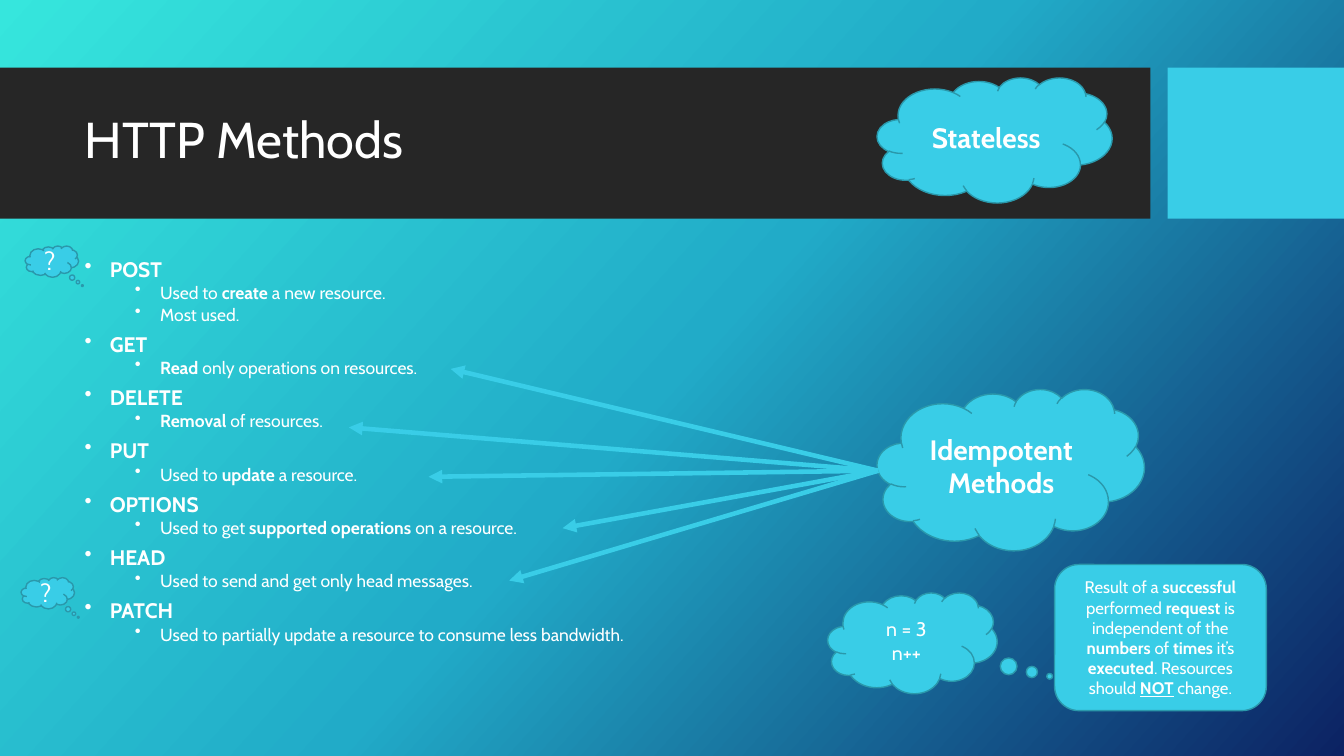
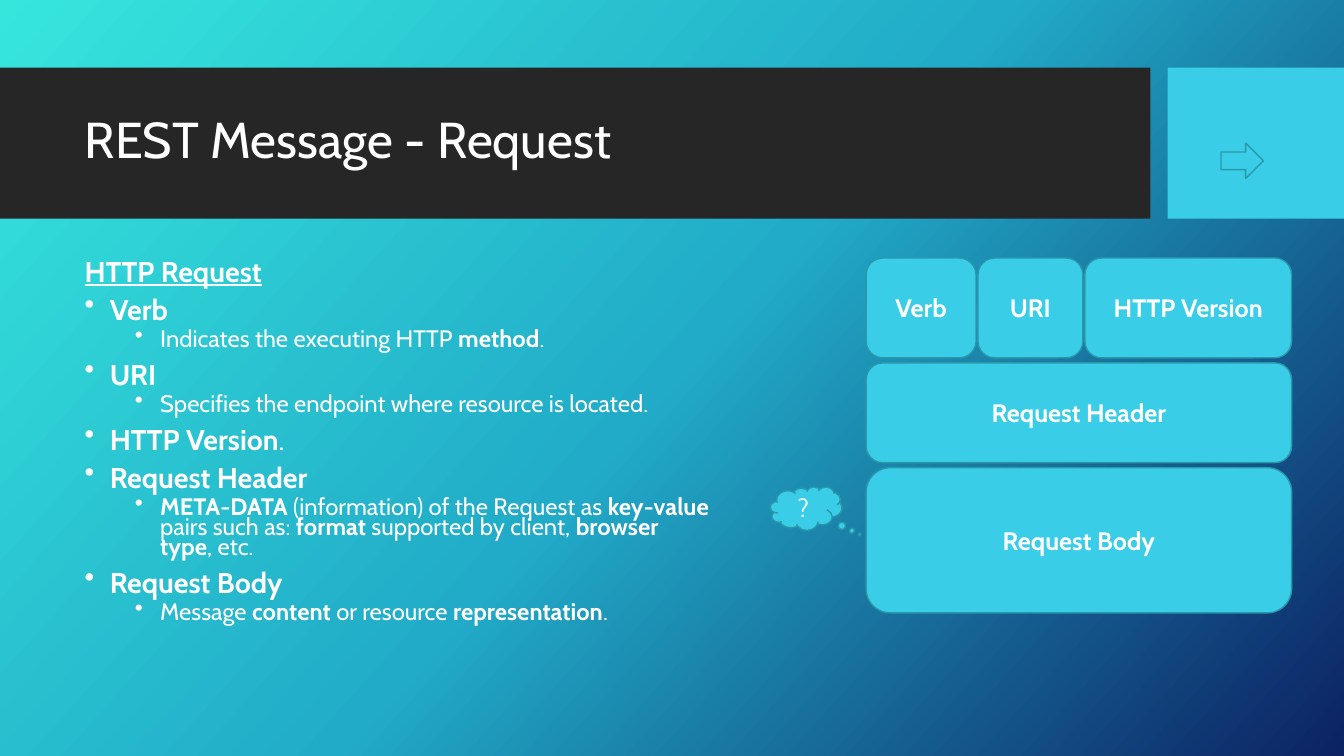
import copy

import lxml.etree
import pptx
import pptx.dml.color
import pptx.enum.shapes
import pptx.enum.text
import pptx.oxml.ns
import pptx.util

Inches = pptx.util.Inches
Pt = pptx.util.Pt
RGB = pptx.dml.color.RGBColor.from_string
KIND = pptx.enum.shapes.MSO_SHAPE
ALIGN = pptx.enum.text.PP_ALIGN
MIDDLE = pptx.enum.text.MSO_ANCHOR.MIDDLE
qn = pptx.oxml.ns.qn
add_tag = lxml.etree.SubElement

FONT = "Cabin"
COLOR = {
    "band": "262626",
    "cyan": "39CDE7",
    "edge": "2A98AB",
    "text": "FFFFFF",
    "aqua": "36E6DD",
    "blue": "21ABC8",
    "navy": "0C2263",
}


def write(par, text, size):
    """Fill a paragraph: *bold* between stars, underlined too after *_."""
    for i, part in enumerate(text.split("*")):
        if not part:
            continue
        run = par.add_run()
        run.text = part.lstrip("_")
        run.font.name = FONT
        run.font.size = Pt(size)
        run.font.color.rgb = RGB(COLOR["text"])
        run.font.bold = i % 2 == 1
        run.font.underline = part.startswith("_")


def draw(slide, kind, box, text="", size=18, fill="cyan", edge="edge", tip=()):
    """Add a filled shape with centred text; tip places a callout's tail."""
    shape = slide.shapes.add_shape(kind, *map(Inches, box))
    shape.shadow.inherit = False
    shape.fill.solid()
    shape.fill.fore_color.rgb = RGB(COLOR[fill])
    if edge:
        shape.line.color.rgb = RGB(COLOR[edge])
        shape.line.width = Pt(1)
    else:
        shape.line.fill.background()
    for i, value in enumerate(tip):
        shape.adjustments[i] = value
    frame = shape.text_frame
    frame.word_wrap = True
    frame.vertical_anchor = MIDDLE
    for i, line in enumerate(text.split("\n")):
        par = frame.add_paragraph() if i else frame.paragraphs[0]
        par.alignment = ALIGN.CENTER
        write(par, line, size)
    return shape


deck = pptx.Presentation()
deck.slide_width = Inches(13.33)
deck.slide_height = Inches(7.5)
layout = deck.slide_layouts[5]

# Shared background
back = deck.slide_master.background.fill
back.gradient()
back.gradient_angle = 318
first = back.gradient_stops[0]._gs
first.addnext(copy.deepcopy(first))
shades = [(0, "aqua"), (0.5, "blue"), (1, "navy")]
for stop, (place, name) in zip(back.gradient_stops, shades):
    stop.position = place
    stop.color.rgb = RGB(COLOR[name])

# Titles and bullet lists: "-" starts a sub-item, "=" a line without bullet
pages = [
    ("HTTP Methods", 10.95, 15, 12.5, [
        "*POST*",
        "-Used to *create* a new resource.",
        "-Most used.",
        "*GET*",
        "-*Read* only operations on resources.",
        "*DELETE*",
        "-*Removal* of resources.",
        "*PUT*",
        "-Used to *update* a resource.",
        "*OPTIONS*",
        "-Used to get *supported operations* on a resource.",
        "*HEAD*",
        "-Used to send and get only head messages.",
        "*PATCH*",
        "-Used to partially update a resource to consume less bandwidth.",
    ]),
    ("REST Message - Request", 6.41, 20.4, 17, [
        "=*_HTTP Request*",
        "*Verb*",
        "-Indicates the executing HTTP *method*.",
        "*URI*",
        "-Specifies the endpoint where resource is located.",
        "*HTTP Version*.",
        "*Request Header*",
        "-*META-DATA* (information) of the Request as *key-value* pairs "
        "such as: *format* supported by client, *browser type*, etc.",
        "*Request Body*",
        "-Message *content* or resource *representation*.",
    ]),
]
for name, width, large, small, lines in pages:
    slide = deck.slides.add_slide(layout)
    title = slide.shapes.title
    title.left, title.top = Inches(0.74), Inches(0.82)
    title.width, title.height = Inches(10.51), Inches(1.18)
    frame = title.text_frame
    frame.word_wrap = True
    frame.vertical_anchor = MIDDLE
    head = frame.paragraphs[0]
    head.alignment = ALIGN.LEFT
    head.line_spacing = 0.9
    write(head, name, 36)

    body = slide.shapes.add_textbox(
        Inches(0.74), Inches(2.56), Inches(width), Inches(3.94))
    frame = body.text_frame
    frame.word_wrap = True
    for i, line in enumerate(lines):
        par = frame.add_paragraph() if i else frame.paragraphs[0]
        sub = line.startswith("-")
        par.level = int(sub)
        par.line_spacing = 0.7
        par.space_before = Pt(5 if sub else 10)
        write(par, line.lstrip("-="), small if sub else large)
        if not line.startswith("="):
            props = par._p.get_or_add_pPr()
            props.set("marL", str(Inches(0.75 if sub else 0.25)))
            props.set("indent", str(Inches(-0.25)))
            add_tag(props, qn("a:buChar"), char="•")

verbs, parts = deck.slides

# Bands live on the layout, behind its title
bands = [((0, 0.67, 11.41, 1.5), "band"), ((11.58, 0.67, 1.75, 1.5), "cyan")]
for i, (box, fill) in enumerate(bands):
    band = draw(verbs, KIND.RECTANGLE, box, fill=fill, edge=None)
    layout.shapes.element.insert(2 + i, band.element)

# HTTP Methods
draw(verbs, KIND.CLOUD, (8.7, 3.86, 2.65, 1.6), "*Idempotent Methods*", 20)
draw(verbs, KIND.CLOUD, (8.7, 0.77, 2.33, 1.24), "*Stateless*", 20)
draw(verbs, KIND.ROUNDED_RECTANGLE, (10.46, 5.6, 2.1, 1.45),
     "Result of a *successful* performed *request* is independent of the "
     "*numbers* of *times* it’s *executed*. Resources should *_NOT* change.",
     12)
draw(verbs, KIND.CLOUD_CALLOUT, (8.21, 5.88, 1.68, 1), "n = 3\nn++", 14,
     tip=(0.81, 0.33))
for left, top in [(0.25, 2.44), (0.21, 5.73)]:
    draw(verbs, KIND.CLOUD_CALLOUT, (left, top, 0.53, 0.31), "?",
         tip=(0.57, 0.77))

ends = [(4.47, 3.66), (3.46, 4.24), (4.25, 4.73), (5.58, 5.24), (5.05, 5.76)]
for x, y in ends:
    arrow = verbs.shapes.add_connector(
        pptx.enum.shapes.MSO_CONNECTOR.STRAIGHT,
        Inches(8.71), Inches(4.67), Inches(x), Inches(y))
    arrow.line.color.rgb = RGB(COLOR["cyan"])
    arrow.line.width = Pt(3.25)
    props = arrow.element.spPr
    add_tag(props.find(qn("a:ln")), qn("a:tailEnd"), type="triangle")
    add_tag(props, qn("a:effectLst"))

# REST Message - Request
rows = [
    (0.99, [("Verb", 1.09), ("URI", 1.04), ("HTTP Version", 2.05)]),
    (0.99, [("Request Header", 4.22)]),
    (1.44, [("Request Body", 4.22)]),
]
top = 2.56
for height, cells in rows:
    left = 8.59
    for text, width in cells:
        draw(parts, KIND.ROUNDED_RECTANGLE, (left, top, width, height),
             f"*{text}*")
        left += width + 0.02
    top += height + 0.05
draw(parts, KIND.CLOUD_CALLOUT, (7.64, 4.83, 0.71, 0.43), "?",
     tip=(0.75, 0.6))
draw(parts, KIND.RIGHT_ARROW, (12.11, 1.42, 0.42, 0.35))

deck.save("out.pptx")
